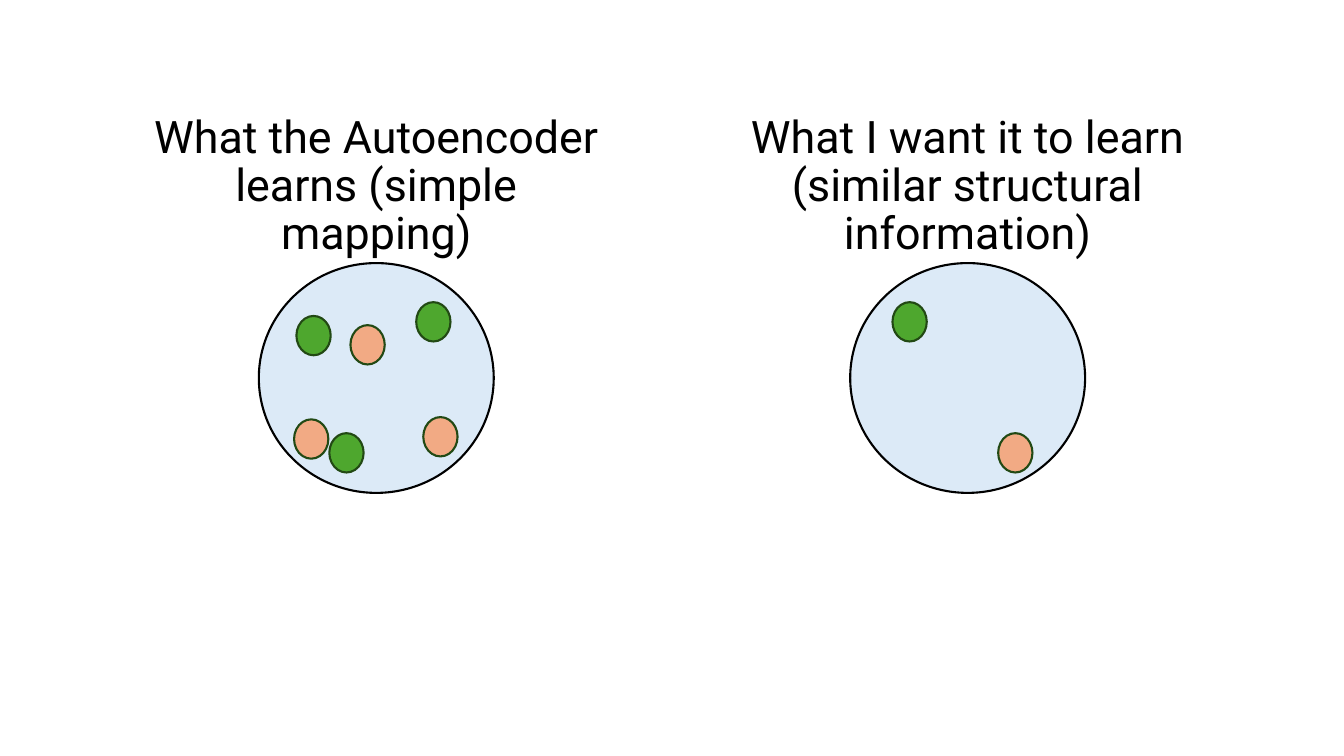
from dataclasses import dataclass

from pptx import Presentation
from pptx.dml.color import RGBColor
from pptx.enum.shapes import MSO_SHAPE
from pptx.enum.text import MSO_ANCHOR, PP_ALIGN
from pptx.util import Inches, Pt

OVAL = MSO_SHAPE.OVAL
MIDDLE = MSO_ANCHOR.MIDDLE
CENTER = PP_ALIGN.CENTER


@dataclass(frozen=True)
class Theme:
    font: str = "Roboto"
    title_size: float = 32
    line_width: float = 1.5
    black: str = "000000"
    space: str = "DCEAF7"
    green: str = "4EA72E"
    orange: str = "F2AA84"
    dot_line: str = "224914"


THEME = Theme()
SLIDE_W, SLIDE_H = 13.33, 7.5
TITLE_TOP, TITLE_H = 1.13, 1.45
SPACE_TOP, SPACE_W, SPACE_H = 2.61, 2.33, 2.28
DOT_W, DOT_H = 0.34, 0.39

# panels


PANELS = [
    {
        "title": "What the Autoencoder learns (simple mapping)",
        "center": 0.28,
        "title_width": 0.36,
        "dots": [
            (THEME.green, [(0.16, 0.23), (0.67, 0.17), (0.3, 0.74)]),
            (THEME.orange, [(0.39, 0.27), (0.15, 0.68), (0.7, 0.67)]),
        ],
    },
    {
        "title": "What I want it to learn (similar structural information)",
        "center": 0.72,
        "title_width": 0.42,
        "dots": [
            (THEME.green, [(0.18, 0.17)]),
            (THEME.orange, [(0.63, 0.74)]),
        ],
    },
]


def add_oval(s, left, top, width, height, fill, line):
    sp = s.shapes.add_shape(OVAL, Inches(left), Inches(top), Inches(width), Inches(height))
    sp.shadow.inherit = False
    sp.fill.solid()
    sp.fill.fore_color.rgb = RGBColor.from_string(fill)
    sp.line.color.rgb = RGBColor.from_string(line)
    sp.line.width = Pt(THEME.line_width)


def add_title(s, text, center, width):
    sp = s.shapes.add_textbox(
        Inches(center - width / 2), Inches(TITLE_TOP), Inches(width), Inches(TITLE_H)
    )
    tf = sp.text_frame
    tf.word_wrap = True
    tf.vertical_anchor = MIDDLE
    tf.text = text
    p = tf.paragraphs[0]
    p.alignment = CENTER
    p.line_spacing = 0.9
    r = p.runs[0]
    r.font.name = THEME.font
    r.font.size = Pt(THEME.title_size)
    r.font.color.rgb = RGBColor.from_string(THEME.black)


def add_panel(s, panel):
    center = panel["center"] * SLIDE_W
    left = center - SPACE_W / 2
    add_oval(s, left, SPACE_TOP, SPACE_W, SPACE_H, THEME.space, THEME.black)
    for color, places in panel["dots"]:
        for x, y in places:
            add_oval(s, left + x * SPACE_W, SPACE_TOP + y * SPACE_H,
                     DOT_W, DOT_H, color, THEME.dot_line)
    add_title(s, panel["title"], center, panel["title_width"] * SLIDE_W)


def main():
    prs = Presentation()
    prs.slide_width, prs.slide_height = Inches(SLIDE_W), Inches(SLIDE_H)
    s = prs.slides.add_slide(prs.slide_layouts[6])
    for panel in PANELS:
        add_panel(s, panel)
    prs.save("out.pptx")


if __name__ == "__main__":
    main()
